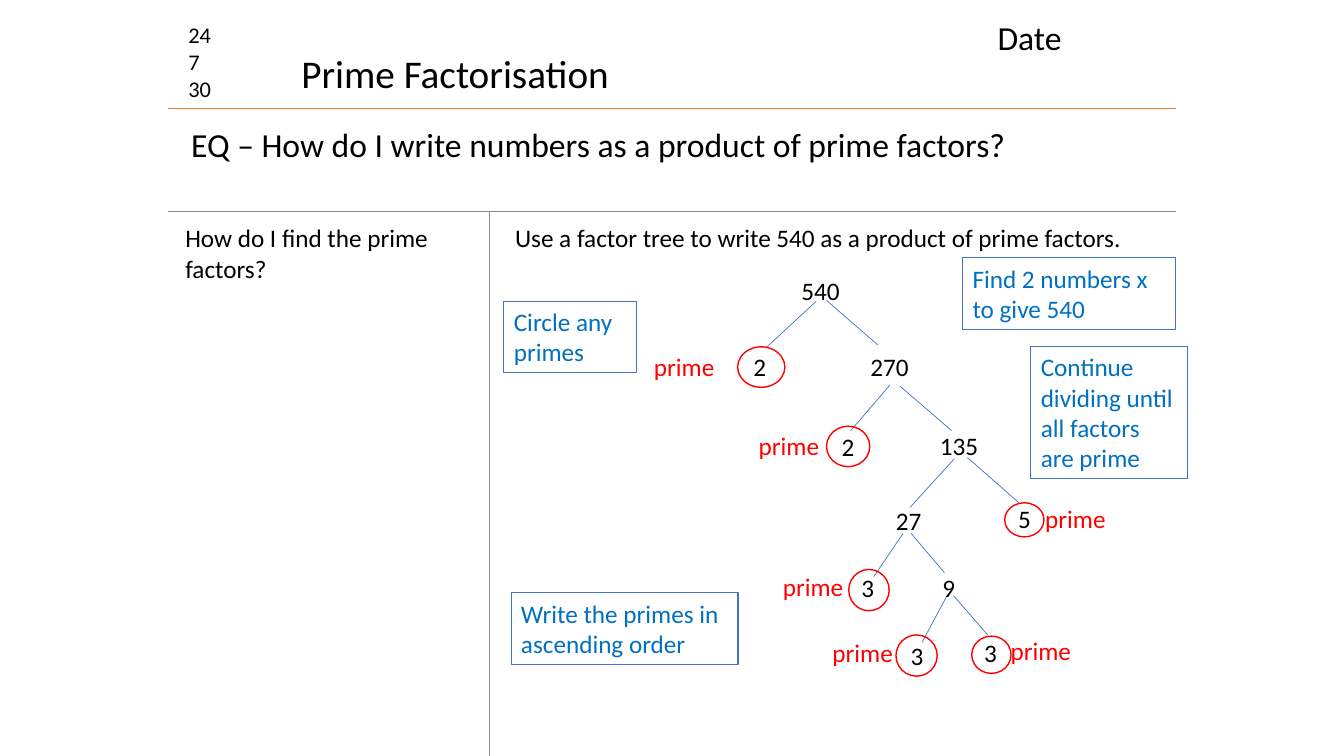
from lxml import etree
from pptx import Presentation
from pptx.dml.color import RGBColor
from pptx.enum.shapes import MSO_CONNECTOR, MSO_SHAPE
from pptx.enum.text import MSO_ANCHOR, MSO_AUTO_SIZE, PP_ALIGN
from pptx.oxml.ns import qn
from pptx.util import Cm, Pt

STRAIGHT = MSO_CONNECTOR.STRAIGHT
RECTANGLE, OVAL = MSO_SHAPE.RECTANGLE, MSO_SHAPE.OVAL
TOP, NO_FIT = MSO_ANCHOR.TOP, MSO_AUTO_SIZE.NONE
LEFT, CENTER = PP_ALIGN.LEFT, PP_ALIGN.CENTER
TITLE_ONLY = 5
FONT = "Calibri"
BLACK, RED, ORANGE, GREY = "000000", "FF0000", "ED7D31", "8C8C8C"
BLUE, NOTE_BLUE = "4472C4", "0070C0"
NUMBER_WIDTH, LINE_HEIGHT = 1.8, 1.02

NUMBERS = [
    ("540", 8.34, 1.48), ("2", 6.81, 3.41), ("270", 10.08, 3.41),
    ("2", 9.03, 5.41), ("135", 11.83, 5.39), ("27", 10.56, 7.27),
    ("5", 13.48, 7.24), ("3", 9.53, 8.97), ("9", 11.57, 8.97),
    ("3", 10.77, 10.67), ("3", 12.62, 10.6),
]
BRANCHES = [
    (8.49, 2.24, 9.78, 3.36), (8.23, 2.26, 6.99, 3.41),
    (10.34, 4.4, 11.64, 5.52), (10.09, 4.37, 9.1, 5.52),
    (12.04, 6.2, 13.34, 7.34), (11.71, 6.23, 10.6, 7.45),
    (10.62, 8.11, 11.46, 9.1), (10.42, 8.11, 9.68, 9.2),
    (11.69, 9.68, 12.55, 10.67), (11.51, 9.71, 10.9, 10.85),
]
PRIME_CIRCLES = [
    (6.25, 3.41, 1.19, 1.02), (8.49, 5.41, 1.09, 1.02),
    (12.98, 7.34, 0.99, 0.86), (9.05, 9.02, 1.02, 1.04),
    (10.24, 10.67, 1.04, 1.04), (12.15, 10.7, 0.99, 0.94),
]
PRIME_LABELS = [
    (3.89, 3.41), (6.53, 5.39), (13.75, 7.24),
    (7.14, 8.94), (8.39, 10.6), (12.88, 10.55),
]
NOTES = [
    ("Find 2 numbers x to give 540", 11.92, 1.17, 5.36, 1.8),
    ("Circle any primes", 0.36, 2.26, 3.35, 1.8),
    ("Continue dividing until all factors are prime", 13.64, 3.41, 3.94, 3.33),
    ("Write the primes in ascending order", 0.54, 9.61, 5.72, 1.8),
]


def color(value):
    """Return the colour for a hex string."""
    return RGBColor.from_string(value)


def write(shape, lines, size, text_color=BLACK, alignment=LEFT, wrap=True):
    """Fill a shape with one formatted paragraph per line."""
    frame = shape.text_frame
    frame.auto_size = NO_FIT
    frame.word_wrap = wrap
    frame.vertical_anchor = TOP
    for index, line in enumerate(lines):
        paragraph = frame.add_paragraph() if index else frame.paragraphs[0]
        paragraph.alignment = alignment
        run = paragraph.add_run()
        run.text = line
        run.font.name = FONT
        run.font.size = Pt(size)
        run.font.color.rgb = color(text_color)


def add_text(slide, place, lines, size, text_color=BLACK, alignment=LEFT):
    """Add a text box at a place given in centimetres."""
    shape = slide.shapes.add_textbox(*map(Cm, place))
    write(shape, lines, size, text_color, alignment)


def add_line(slide, ends, line_color):
    """Add a thin line without a shadow between two points."""
    line = slide.shapes.add_connector(STRAIGHT, *map(Cm, ends))
    line.line.color.rgb = color(line_color)
    line.line.width = Pt(0.5)
    etree.SubElement(line._element.spPr, qn("a:effectLst"))


def add_outline(slide, kind, place, line_color, width):
    """Add an unfilled preset shape with a coloured outline."""
    shape = slide.shapes.add_shape(kind, *map(Cm, place))
    shape.shadow.inherit = False
    shape.fill.background()
    shape.line.color.rgb = color(line_color)
    shape.line.width = Pt(width)
    return shape


def add_header(slide, left, top, width, height):
    """Place the starter numbers, title, date and lower rule."""
    bottom = top + height
    add_line(slide, (left, bottom, left + width, bottom), ORANGE)
    add_text(slide, (left + 0.26, top + 0.41, 1.6, 2.31), ["24", "7", "30"], 16)
    title = slide.shapes.title
    title.left, title.top = Cm(left + 3.1), Cm(top + 1.12)
    title.width, title.height = Cm(8.36), Cm(1.45)
    write(title, ["Prime Factorisation"], 28, wrap=False)
    add_text(slide, (left + 20.65, top + 0.3, 4.39, 1.27), ["Date"], 24)


def add_question(slide, left, top, width, height):
    """Place the essential question and its lower rule."""
    bottom = top + height
    add_line(slide, (left, bottom, left + width, bottom), GREY)
    question = "EQ – How do I write numbers as a product of prime factors?"
    add_text(slide, (left + 0.33, top + 0.28, 23.95, 1.27), [question], 24)


def add_cue_column(slide, left, top, width, height):
    """Place the cue question and the rule to its right."""
    right = left + width
    add_line(slide, (right, top, right, top + height), GREY)
    cue = "How do I find the prime factors?"
    add_text(slide, (left + 0.18, top + 0.16, 7.52, 1.8), [cue], 18)


def add_factor_tree(slide, left, top, width):
    """Place the task, factor tree and hints."""
    task = "Use a factor tree to write 540 as a product of prime factors."
    add_text(slide, (left + 0.39, top + 0.16, width - 1.09, LINE_HEIGHT), [task], 18)
    for x1, y1, x2, y2 in BRANCHES:
        add_line(slide, (left + x1, top + y1, left + x2, top + y2), BLUE)
    for number, middle, y in NUMBERS:
        place = (left + middle - NUMBER_WIDTH / 2, top + y, NUMBER_WIDTH, LINE_HEIGHT)
        add_text(slide, place, [number], 18, alignment=CENTER)
    for x, y, circle_width, circle_height in PRIME_CIRCLES:
        place = (left + x, top + y, circle_width, circle_height)
        add_outline(slide, OVAL, place, RED, 1)
    for x, y in PRIME_LABELS:
        add_text(slide, (left + x, top + y, 2.26, LINE_HEIGHT), ["prime"], 18, RED)
    for hint, x, y, note_width, note_height in NOTES:
        place = (left + x, top + y, note_width, note_height)
        note = add_outline(slide, RECTANGLE, place, BLUE, 0.75)
        write(note, [hint], 18, NOTE_BLUE)


def main():
    """Build and save the lesson slide."""
    presentation = Presentation()
    presentation.slide_width, presentation.slide_height = Cm(33.87), Cm(19.05)
    slide = presentation.slides.add_slide(presentation.slide_layouts[TITLE_ONLY])
    add_header(slide, 4.24, 0, 25.4, 2.72)
    add_question(slide, 4.24, 2.72, 25.4, 2.61)
    add_cue_column(slide, 4.24, 5.33, 8.1, 13.72)
    add_factor_tree(slide, 12.34, 5.33, 17.3)
    presentation.save("out.pptx")


if __name__ == "__main__":
    main()
